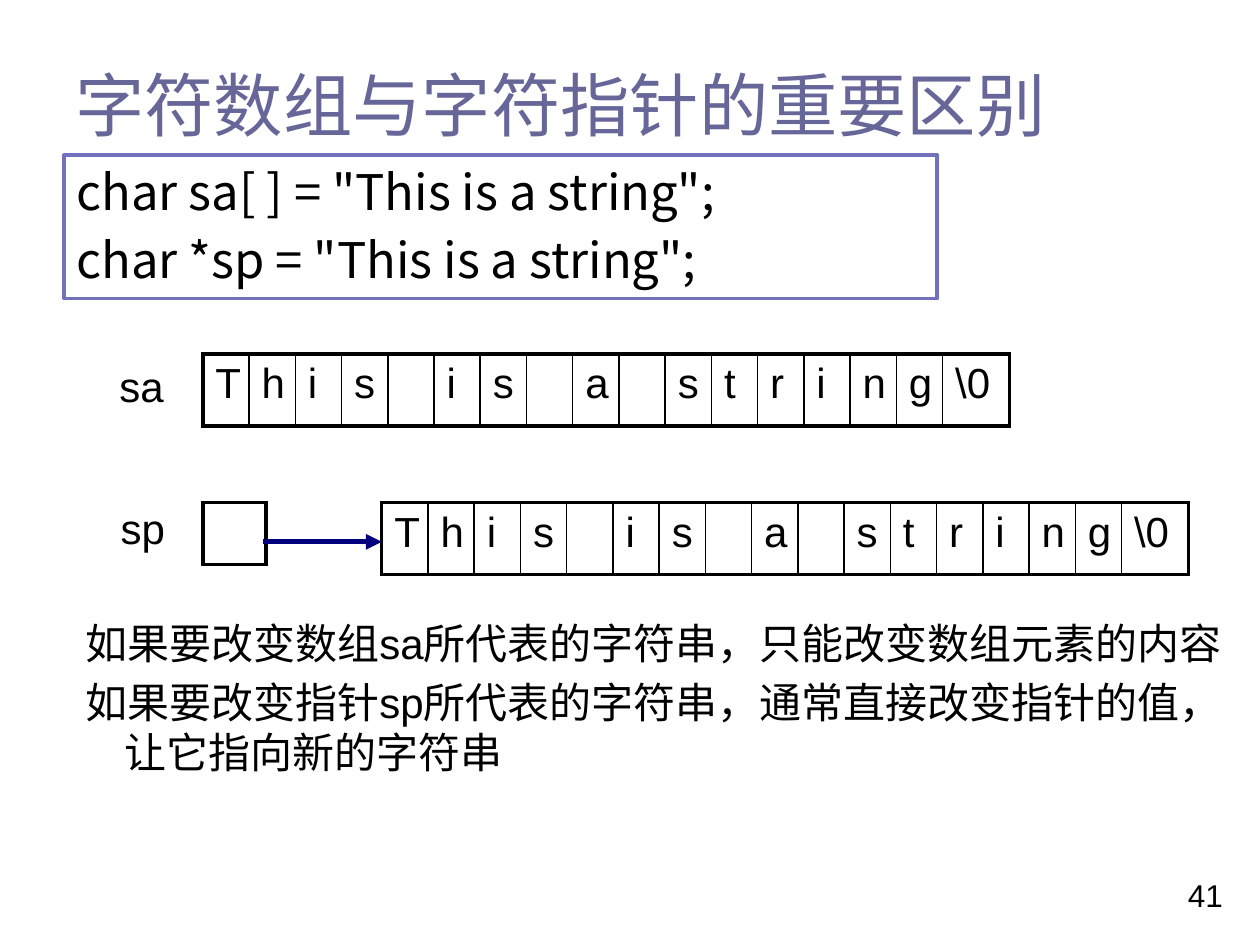
import pptx
import pptx.util
import pptx.dml.color
import pptx.enum.shapes
import pptx.enum.text
import pptx.oxml.ns
from lxml import etree

BLACK = pptx.dml.color.RGBColor(0x00, 0x00, 0x00)
TITLE = pptx.dml.color.RGBColor(0x66, 0x66, 0x99)
FRAME = pptx.dml.color.RGBColor(0x71, 0x71, 0xBD)
ARROW = pptx.dml.color.RGBColor(0x00, 0x00, 0x7D)

prs = pptx.Presentation()
prs.slide_width = pptx.util.Inches(10)
prs.slide_height = pptx.util.Inches(7.5)
COL = prs.slide_width / 100
ROW = prs.slide_height / 75
s = prs.slides.add_slide(prs.slide_layouts[6])


def write(tf, lines, size, color=BLACK, font="Arial", hanging=False):
    tf.word_wrap = True
    tf.text = "\n".join(lines)
    for i, p in enumerate(tf.paragraphs):
        p.alignment = pptx.enum.text.PP_ALIGN.LEFT
        if i:
            p.space_before = pptx.util.Pt(size * 0.2)
        if hanging:
            p.level = 1
            pPr = p._p.get_or_add_pPr()
            pPr.set("marL", str(int(8.1 * COL)))
            pPr.set("indent", str(int(-3.1 * COL)))
        for r in p.runs:
            r.font.size = pptx.util.Pt(size)
            r.font.name = font
            r.font.color.rgb = color


def cell_table(left, top, height, widths, texts):
    sp = s.shapes.add_table(1, len(texts), int(left * COL), int(top * ROW),
                            int(sum(widths) * COL), int(height * ROW))
    table = sp.table
    table.first_row = False
    table.horz_banding = False
    table.rows[0].height = int(height * ROW)
    last = len(texts) - 1
    for i, (width, text) in enumerate(zip(widths, texts)):
        table.columns[i].width = int(width * COL)
        cell = table.cell(0, i)
        cell.margin_left = cell.margin_right = int(COL)
        if text.strip():
            write(cell.text_frame, [text], 24)
        tcPr = cell._tc.get_or_add_tcPr()
        edges = {"lnL": 1 if i else 2.25, "lnR": 1 if i < last else 2.25,
                 "lnT": 2.25, "lnB": 2.25}
        for tag, weight in edges.items():
            ln = etree.SubElement(tcPr, pptx.oxml.ns.qn("a:" + tag), w=str(pptx.util.Pt(weight)))
            fill = etree.SubElement(ln, pptx.oxml.ns.qn("a:solidFill"))
            etree.SubElement(fill, pptx.oxml.ns.qn("a:srgbClr"), val=str(BLACK))
        cell.fill.background()


sp = s.shapes.add_shape(pptx.enum.shapes.MSO_SHAPE.RECTANGLE, int(5.1 * COL), int(12.3 * ROW),
                        int(69.3 * COL), int(11.4 * ROW))
sp.shadow.inherit = False
sp.fill.background()
sp.line.color.rgb = FRAME
sp.line.width = pptx.util.Pt(2.25)
sp.text_frame.vertical_anchor = pptx.enum.text.MSO_ANCHOR.TOP
write(sp.text_frame, ['char sa[ ] = "This is a string";', 'char *sp = "This is a string";'],
      28, font="Noto Sans CJK SC")

letters = list("This is a string") + ["\\0"]
widths = [3.67] * 16 + [5.3]
cell_table(16.1, 28.1, 5.7, widths, letters)
cell_table(30.3, 39.9, 5.7, widths, letters)
cell_table(16.1, 39.9, 4.9, [5], [""])

ln = s.shapes.add_connector(pptx.enum.shapes.MSO_CONNECTOR.STRAIGHT, int(20.9 * COL), int(43 * ROW),
                            int(30.3 * COL), int(43 * ROW))
ln.line.color.rgb = ARROW
ln.line.width = pptx.util.Pt(3)
etree.SubElement(ln.line._get_or_add_ln(), pptx.oxml.ns.qn("a:tailEnd"), type="triangle")
etree.SubElement(ln._element.spPr, pptx.oxml.ns.qn("a:effectLst"))

body = ["如果要改变数组sa所代表的字符串，只能改变数组元素的内容",
        "如果要改变指针sp所代表的字符串，通常直接改变指针的值，让它指向新的字符串"]
texts = [
    (5, 5, 90, 6.5, ["字符数组与字符指针的重要区别"], 39.6, TITLE, False),
    (3.5, 28.1, 13.4, 4.7, ["sa"], 24, BLACK, True),
    (3.6, 39.4, 13.4, 4.7, ["sp"], 24, BLACK, True),
    (0.8, 48.5, 98.2, 16.5, body, 24, BLACK, True),
    (93.3, 69, 5.5, 4, ["41"], 18, BLACK, False),
]
for left, top, width, height, lines, size, color, hanging in texts:
    sp = s.shapes.add_textbox(int(left * COL), int(top * ROW), int(width * COL), int(height * ROW))
    write(sp.text_frame, lines, size, color, hanging=hanging)
    if color == TITLE:
        sp.text_frame.vertical_anchor = pptx.enum.text.MSO_ANCHOR.MIDDLE

prs.save("out.pptx")
